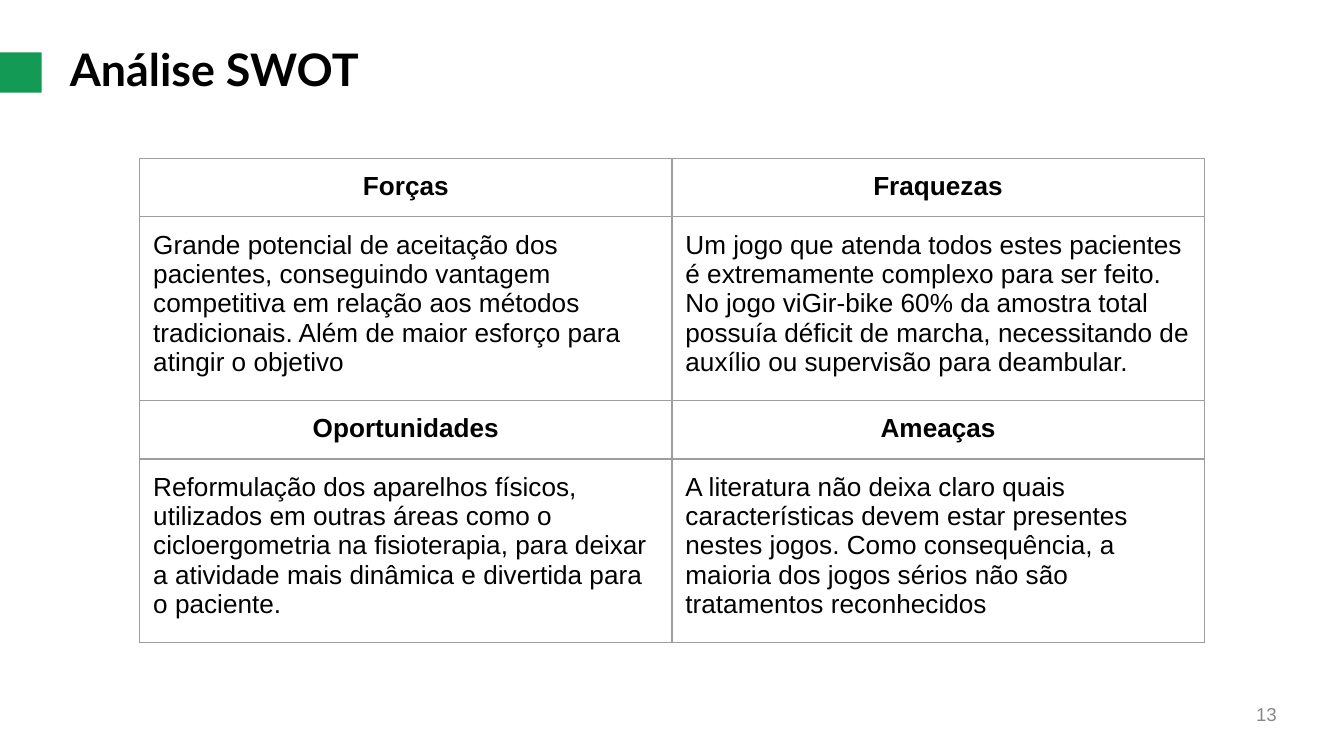
from dataclasses import dataclass

from lxml import etree
from pptx import Presentation
from pptx.dml.color import RGBColor
from pptx.enum.shapes import MSO_SHAPE
from pptx.enum.text import PP_ALIGN
from pptx.oxml.ns import qn
from pptx.util import Inches, Pt

RECTANGLE = MSO_SHAPE.RECTANGLE
LEFT, CENTER, RIGHT = PP_ALIGN.LEFT, PP_ALIGN.CENTER, PP_ALIGN.RIGHT


@dataclass(frozen=True)
class Theme:
    ink: str = "000000"
    muted: str = "888888"
    accent: str = "139A54"
    border: str = "9E9E9E"
    border_width: float = 0.75
    title_font: str = "Lato"
    body_font: str = "Arial"
    title_size: int = 24
    body_size: int = 14
    number_size: int = 10


def write_text(tf, text, *, font, size, color, bold=False, align=LEFT):
    p = tf.paragraphs[0]
    p.alignment = align
    r = p.add_run()
    r.text = text
    r.font.name = font
    r.font.size = Pt(size)
    r.font.bold = bold
    r.font.color.rgb = RGBColor.from_string(color)


class SlideBuilder:
    def __init__(self, slide, theme):
        self.s = slide
        self.theme = theme

    def text(self, x, y, w, h, text, **style):
        sp = self.s.shapes.add_textbox(Inches(x), Inches(y), Inches(w), Inches(h))
        tf = sp.text_frame
        tf.word_wrap = True
        tf.margin_left = tf.margin_right = tf.margin_top = tf.margin_bottom = 0
        write_text(tf, text, **style)

    def block(self, x, y, w, h, color):
        sp = self.s.shapes.add_shape(
            RECTANGLE, Inches(x), Inches(y), Inches(w), Inches(h))
        sp.shadow.inherit = False
        sp.fill.solid()
        sp.fill.fore_color.rgb = RGBColor.from_string(color)
        sp.line.fill.background()

    def border(self, cell):
        tc_pr = cell._tc.get_or_add_tcPr()
        for i, side in enumerate(("lnL", "lnR", "lnT", "lnB")):
            ln = etree.Element(qn(f"a:{side}"), w=str(Pt(self.theme.border_width)))
            fill = etree.SubElement(ln, qn("a:solidFill"))
            etree.SubElement(fill, qn("a:srgbClr"), val=self.theme.border)
            tc_pr.insert(i, ln)

    def table(self, x, y, col_width, row_height, rows):
        t = self.theme
        cols = len(rows[0])
        table = self.s.shapes.add_table(
            len(rows), cols, Inches(x), Inches(y),
            Inches(col_width * cols), Inches(row_height * len(rows))).table
        table.first_row = table.horz_banding = False
        for col in table.columns:
            col.width = Inches(col_width)
        for i, row in enumerate(rows):
            table.rows[i].height = Inches(row_height)
            heading = i % 2 == 0
            for j, text in enumerate(row):
                cell = table.cell(i, j)
                cell.margin_left = cell.margin_right = Inches(0.1)
                cell.margin_top = cell.margin_bottom = Inches(0.1)
                cell.fill.background()
                self.border(cell)
                write_text(cell.text_frame, text, font=t.body_font,
                           size=t.body_size, color=t.ink, bold=heading,
                           align=CENTER if heading else LEFT)


SWOT = [
    ("Forças", "Fraquezas"),
    ("Grande potencial de aceitação dos pacientes, conseguindo vantagem "
     "competitiva em relação aos métodos tradicionais. Além de maior esforço "
     "para atingir o objetivo",
     "Um jogo que atenda todos estes pacientes é extremamente complexo para "
     "ser feito. No jogo viGir-bike 60% da amostra total possuía déficit de "
     "marcha, necessitando de auxílio ou supervisão para deambular."),
    ("Oportunidades", "Ameaças"),
    ("Reformulação dos aparelhos físicos, utilizados em outras áreas como o "
     "cicloergometria na fisioterapia, para deixar a atividade mais dinâmica "
     "e divertida para o paciente.",
     "A literatura não deixa claro quais características devem estar "
     "presentes nestes jogos. Como consequência, a maioria dos jogos sérios "
     "não são tratamentos reconhecidos"),
]


def main():
    prs = Presentation()
    # Widescreen, 16:9
    prs.slide_width = Inches(10)
    prs.slide_height = Inches(10 * 9 / 16)
    theme = Theme()
    b = SlideBuilder(prs.slides.add_slide(prs.slide_layouts[6]), theme)

    # Page number
    b.text(7.2, 5.23, 2.3, 0.17, "13", font=theme.body_font,
           size=theme.number_size, color=theme.muted, align=RIGHT)

    # Title with its accent block
    b.text(0.52, 0.31, 7.41, 0.41, "Análise SWOT", font=theme.title_font,
           size=theme.title_size, color=theme.ink, bold=True)
    b.block(0, 0.39, 0.31, 0.3, theme.accent)

    # SWOT table: heading and description rows alternate and grow to fit
    b.table(1.04, 1.18, 3.96, 0.42, SWOT)

    prs.save("out.pptx")


if __name__ == "__main__":
    main()
